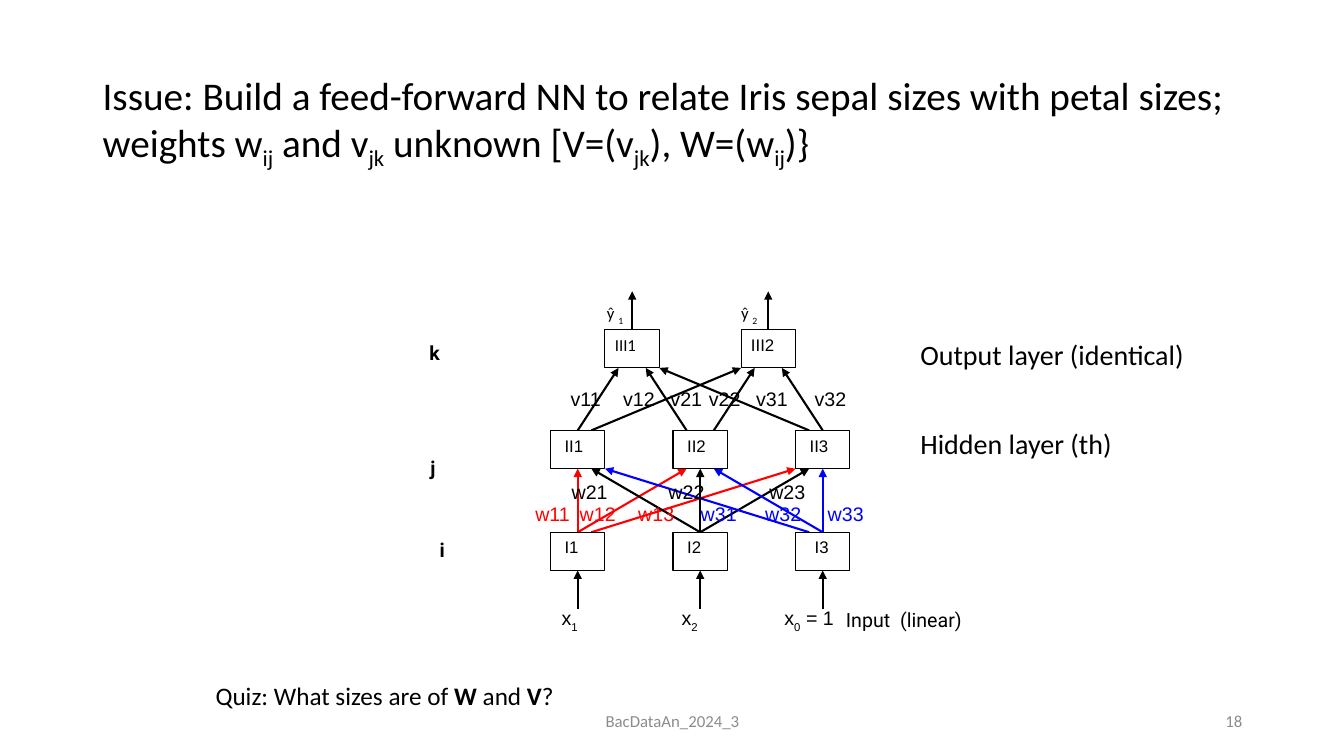
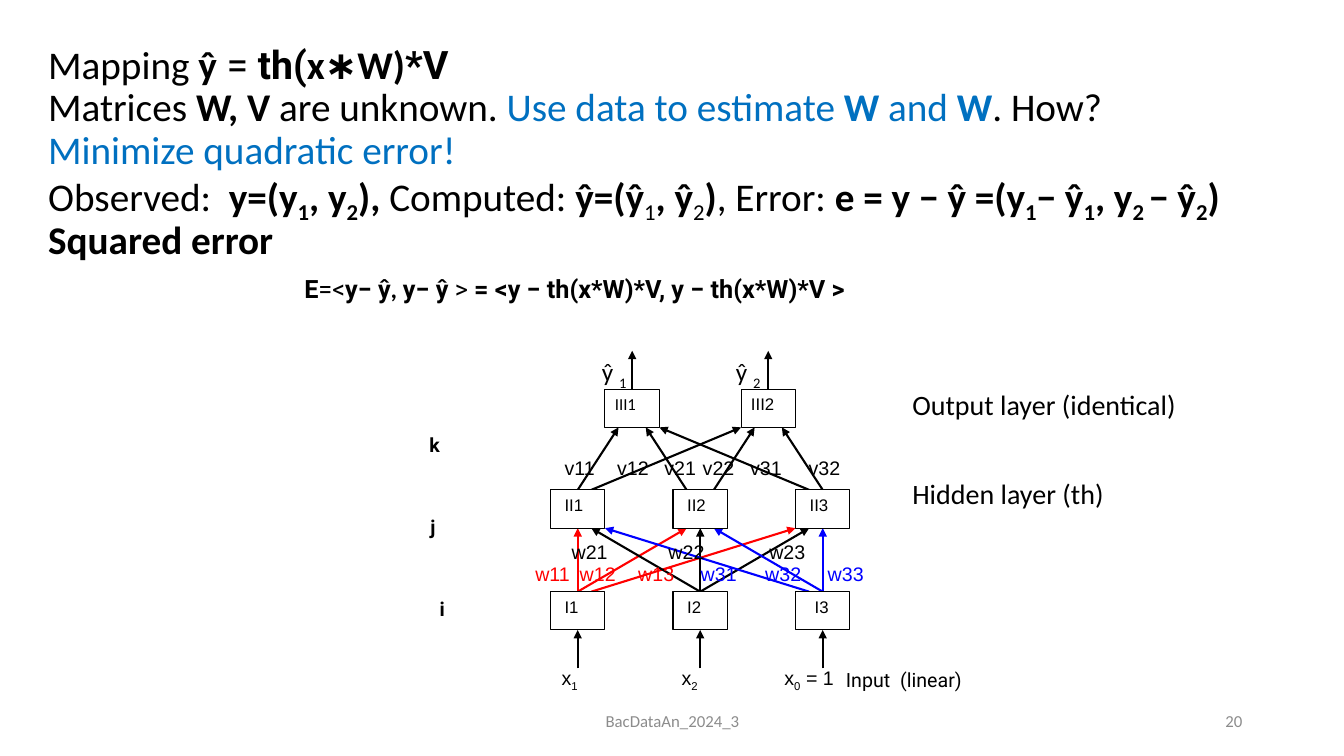
from dataclasses import dataclass

from lxml.etree import SubElement
from pptx import Presentation
from pptx.dml.color import RGBColor
from pptx.enum.shapes import MSO_CONNECTOR, MSO_SHAPE
from pptx.enum.text import MSO_ANCHOR, PP_ALIGN
from pptx.oxml.ns import qn
from pptx.util import Inches, Pt


@dataclass(frozen=True)
class Theme:
    # Colours
    ink: str = "000000"
    paper: str = "FFFFFF"
    muted: str = "8C8C8C"
    accent: str = "0070C0"
    red: str = "FF0000"
    blue: str = "0000FF"
    # Fonts
    body: str = "Calibri"
    plain: str = "Arial"
    formula: str = "Roboto"
    # Type sizes
    title_size: int = 28
    layer_size: int = 20
    note_size: int = 18
    label_size: int = 14
    small_size: int = 12


THEME = Theme()


def span(text, **style):
    """A piece of text with its own style."""
    return text, style


def bold(text, **style):
    return span(text, bold=True, **style)


def sub(text, drop=25, **style):
    return span(text, drop=drop, **style)


class Deck:
    def __init__(self, theme):
        self.theme = theme
        self.prs = Presentation()
        self.prs.slide_width = Inches(13.33)
        self.prs.slide_height = Inches(7.5)
        self.slide = None

    def new_slide(self, number):
        self.slide = self.prs.slides.add_slide(self.prs.slide_layouts[6])
        for left, width, text, align in (
            (4.42, 4.5, "BacDataAn_2024_3", PP_ALIGN.CENTER),
            (9.42, 3, number, PP_ALIGN.RIGHT),
        ):
            footer = self.text(left, 6.95, width, 0.4, [[text]], anchor=MSO_ANCHOR.MIDDLE,
                               size=self.theme.small_size, color=self.theme.muted)
            footer.paragraphs[0].alignment = align

    def add_runs(self, paragraph, pieces, **base):
        """Add the pieces run by run; a newline piece is a line break."""
        for piece in pieces:
            if piece == "\n":
                paragraph.add_line_break()
                continue
            text, own = (piece, {}) if isinstance(piece, str) else piece
            style = {**base, **own}
            run = paragraph.add_run()
            run.text = text
            run.font.name = style.get("font", self.theme.body)
            run.font.size = Pt(style["size"])
            run.font.bold = style.get("bold", False)
            run.font.color.rgb = RGBColor.from_string(style.get("color", self.theme.ink))
            if "drop" in style:
                run._r.get_or_add_rPr().set("baseline", str(-1000 * style["drop"]))

    def text(self, left, top, width, height, paragraphs, anchor=MSO_ANCHOR.TOP,
             spacing=1.0, **style):
        box = self.slide.shapes.add_textbox(
            Inches(left), Inches(top), Inches(width), Inches(height))
        frame = box.text_frame
        frame.word_wrap = True
        frame.vertical_anchor = anchor
        for index, pieces in enumerate(paragraphs):
            paragraph = frame.add_paragraph() if index else frame.paragraphs[0]
            paragraph.line_spacing = spacing
            self.add_runs(paragraph, pieces, **style)
        return frame

    def title(self, left, top, width, height, paragraphs):
        return self.text(left, top, width, height, paragraphs, anchor=MSO_ANCHOR.MIDDLE,
                         spacing=0.9, size=self.theme.title_size)

    def label(self, left, middle, *pieces, **style):
        """One line of text, starting at left and centred on middle."""
        style = {"size": self.theme.label_size, "font": self.theme.plain, **style}
        frame = self.text(left, middle - 0.15, 1.6, 0.3, [pieces],
                          anchor=MSO_ANCHOR.MIDDLE, **style)
        frame.margin_left = frame.margin_right = frame.margin_top = frame.margin_bottom = 0

    def node(self, left, top, width, height, name, inset, font):
        box = self.slide.shapes.add_shape(
            MSO_SHAPE.RECTANGLE, Inches(left), Inches(top), Inches(width), Inches(height))
        box.shadow.inherit = False
        box.fill.solid()
        box.fill.fore_color.rgb = RGBColor.from_string(self.theme.paper)
        box.line.color.rgb = RGBColor.from_string(self.theme.ink)
        box.line.width = Pt(0.75)
        frame = box.text_frame
        frame.word_wrap = True
        frame.vertical_anchor = MSO_ANCHOR.TOP
        frame.margin_left, frame.margin_right = Inches(inset), 0
        frame.paragraphs[0].alignment = PP_ALIGN.LEFT
        self.add_runs(frame.paragraphs[0], [name], size=self.theme.small_size, font=font)

    def arrow(self, x1, y1, x2, y2, color):
        line = self.slide.shapes.add_connector(
            MSO_CONNECTOR.STRAIGHT, Inches(x1), Inches(y1), Inches(x2), Inches(y2))
        line.line.color.rgb = RGBColor.from_string(color)
        line.line.width = Pt(1.5)
        SubElement(line.line._get_or_add_ln(), qn("a:tailEnd"), type="triangle")
        SubElement(line._element.spPr, qn("a:effectLst"))

    def layer_names(self, left, top):
        frame = self.text(left, top, 3.86, 1.53,
                          [["Output layer (identical)"], ["Hidden layer (th)"]],
                          spacing=0.9, size=self.theme.layer_size)
        frame.paragraphs[1].space_before = Pt(42)

    def network(self, shift, v_left, v_middle, k_middle, y_left, y_middle, y_size):
        """Draw the three-layer network, moved down by shift."""
        theme = self.theme
        width, height, nudge = 0.54, 0.38, 0.135
        output_top, hidden_top, input_top = (top + shift for top in (3.27, 4.27, 5.28))
        columns = [5.73 + 1.215 * i for i in range(3)]
        outputs = [6.27, 7.62]
        input_colors = [theme.red, theme.ink, theme.blue]

        # Input to hidden: the arrow tip moves towards the side it comes from
        for i, color in enumerate(input_colors):
            for j in range(3):
                gap = j - i
                start = columns[i] + nudge * gap / 2 * (abs(gap) == 2)
                self.arrow(start, input_top, columns[j] - nudge * gap,
                           hidden_top + height, color)

        # Hidden to output: node and nudge at each end
        for j, start, k, end in ((0, 0, 0, -1), (0, 1, 1, -2), (1, -1, 0, 1),
                                 (1, 1, 1, -1), (2, -1, 0, 2), (2, 0, 1, 1)):
            self.arrow(columns[j] + nudge * start, hidden_top,
                       outputs[k] + nudge * end, output_top + height, theme.ink)

        # Arrows into the inputs and out of the outputs
        for centers, top in ((columns, input_top + 2 * height), (outputs, output_top)):
            for center in centers:
                self.arrow(center, top, center, top - height, theme.ink)

        # Nodes
        for prefix, centers, top, inset in (("III", outputs, output_top, 0.1),
                                            ("II", columns, hidden_top, 0.14),
                                            ("I", columns, input_top, 0.14)):
            for number, center in enumerate(centers, 1):
                name = f"{prefix}{number}"
                self.node(center - width / 2, top, width, height, name,
                          0.19 if name == "I3" else inset,
                          theme.body if name == "III1" else theme.plain)

        # Weights
        weight_rows = (
            (4.88 + shift, theme.ink, {"w21": 5.67, "w22": 6.63, "w23": 7.63}),
            (5.1 + shift, theme.red, {"w11": 5.31, "w12": 5.75, "w13": 6.33}),
            (5.1 + shift, theme.blue, {"w31": 6.95, "w32": 7.59, "w33": 8.21}),
            (v_middle, theme.ink,
             {name: v_left + offset for name, offset in zip(
                 ("v11", "v12", "v21", "v22", "v31", "v32"),
                 (0, 0.52, 0.99, 1.37, 1.84, 2.42))}),
        )
        for middle, color, places in weight_rows:
            for name, left in places.items():
                self.label(left, middle, name, color=color)

        # Layer indices
        for index, left, middle in (("k", 4.26, k_middle), ("j", 4.27, 4.64 + shift),
                                    ("i", 4.36, 5.45 + shift)):
            self.label(left, middle, bold(index, font=theme.formula))

        # Outputs and inputs
        for number in range(2):
            self.label(y_left + 1.33 * number, y_middle, "ŷ ", sub(str(number + 1), 30),
                       size=y_size, font=theme.body)
        input_middle = 6.15 + shift
        self.label(5.57, input_middle, "x", sub("1", 30))
        self.label(6.76, input_middle, "x", sub("2", 30))
        self.label(7.78, input_middle, "x", sub("0", 30), " = 1")
        self.label(8.39, input_middle, "Input  (linear)", font=theme.formula)


def issue_slide(deck):
    deck.new_slide("18")
    deck.title(0.92, 0.4, 11.5, 1.61, [[
        "Issue: Build a feed-forward NN to relate Iris sepal sizes with petal sizes;", "\n",
        "weights w", sub("ij"), " and v", sub("jk"), " unknown [V=(v", sub("jk"),
        "), W=(w", sub("ij"), ")}"]])
    deck.layer_names(9.03, 3.34)
    deck.network(shift=0, v_left=5.66, v_middle=3.96, k_middle=3.5,
                 y_left=6.02, y_middle=3.12, y_size=THEME.small_size)
    deck.text(2.04, 6.7, 3.8, 0.4,
              [["Quiz: What sizes are of ", bold("W"), " and ", bold("V"), "?"]],
              size=THEME.note_size)


def mapping_slide(deck):
    deck.new_slide("20")
    accent = {"color": THEME.accent}
    formula = {"font": THEME.formula}
    small = {"font": THEME.formula, "size": THEME.note_size}
    title = deck.title(0.38, 0.1, 12.57, 3.27, [
        ["Mapping ", bold("ŷ"), span(" = ", **formula), bold("th(", **formula),
         bold("x∗W)"), bold("*V", **formula)],
        ["Matrices ", bold("W, V "), "are unknown. ",
         span("Use data to estimate ", **accent), bold("W", **accent),
         span(" and ", **accent), bold("W", **accent), ". How?"],
        [span("Minimize quadratic error!", **accent)],
        ["Observed:  ", bold("y=(y"), sub("1", bold=True), bold(", y"), sub("2", bold=True),
         bold("), "), "Computed: ", bold("ŷ=(ŷ"), sub("1"), bold(", ŷ"), sub("2"),
         bold(")"), ", Error: ", bold("e = y − ŷ =(y"), sub("1", bold=True), bold("− ŷ"),
         sub("1", bold=True), bold(", y"), sub("2 ", bold=True), bold("− ŷ"),
         sub("2", bold=True), bold(")")],
        [bold("Squared error")],
        [bold("E", **small), span("=<", **small), bold("y− ŷ", **small),
         bold(", ", size=THEME.note_size), bold("y− ŷ ", **small), span("> ", **small),
         bold("= <y − th(x*W)*V, y − th(x*W)*V >", **small)],
    ])
    # The error formula is indented below its heading
    error_formula = title.paragraphs[-1]
    error_formula.space_before = Pt(10)
    error_formula._p.get_or_add_pPr().set("marL", str(Inches(2.54)))
    deck.layer_names(8.95, 3.83)
    deck.network(shift=0.59, v_left=5.6, v_middle=4.64, k_middle=4.41,
                 y_left=5.97, y_middle=3.71, y_size=THEME.note_size)


def main():
    deck = Deck(THEME)
    issue_slide(deck)
    mapping_slide(deck)
    deck.prs.save("out.pptx")


if __name__ == "__main__":
    main()
